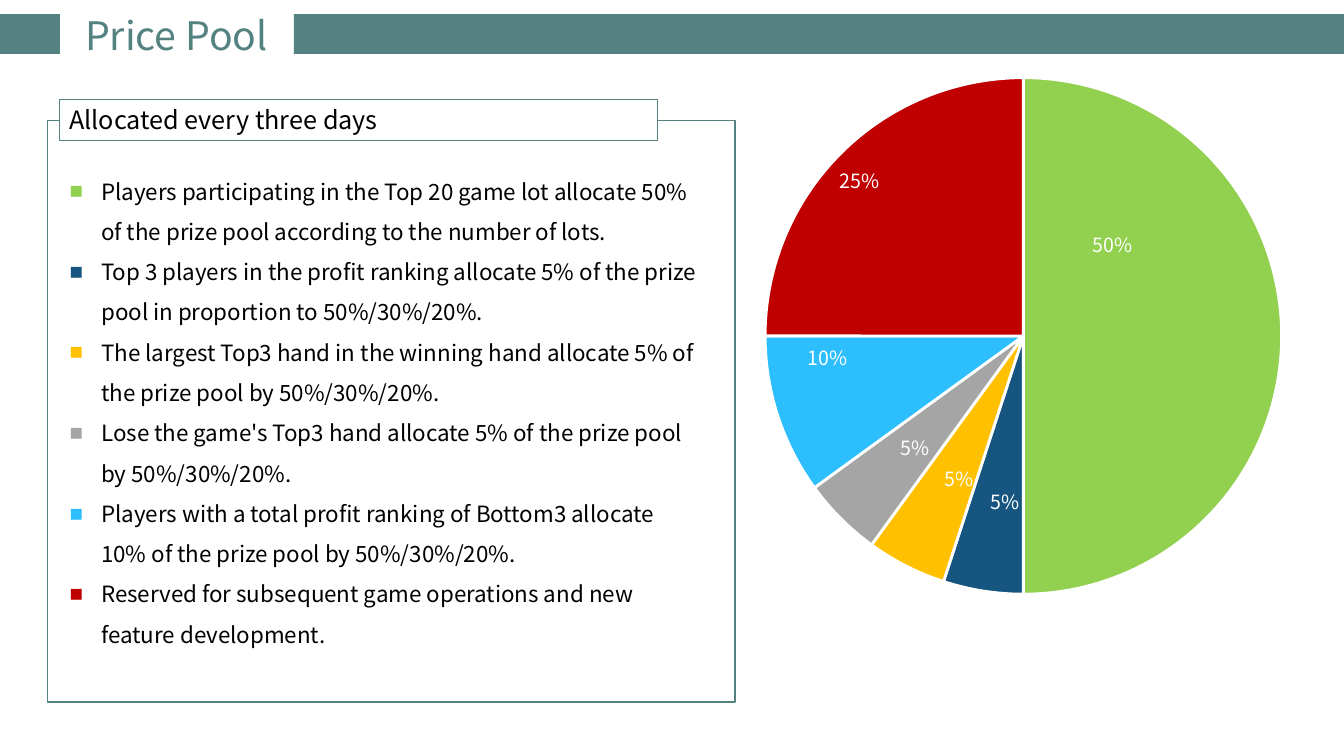
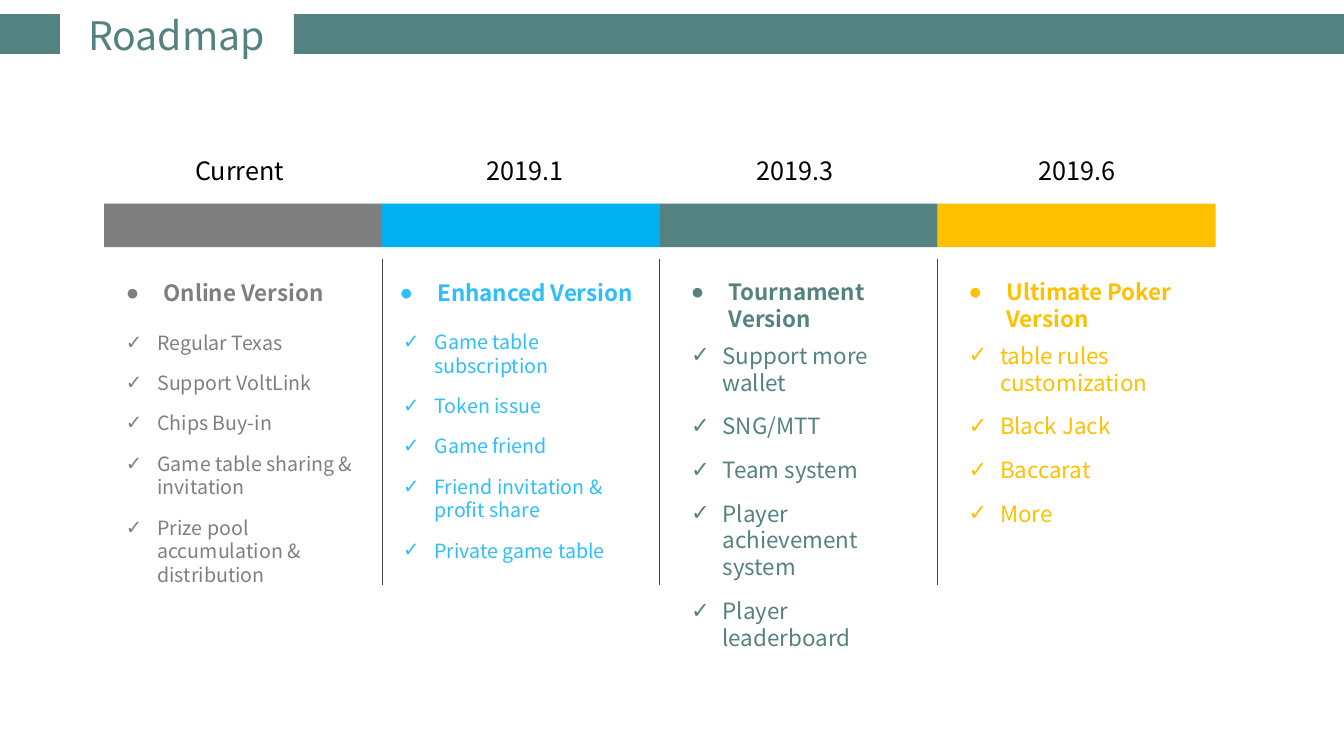
"""Build the price pool and roadmap slides."""
import math
from lxml import etree
from pptx import Presentation
from pptx.chart.data import CategoryChartData
from pptx.dml.color import RGBColor
from pptx.enum import chart as ch, shapes, text
from pptx.oxml import parse_xml
from pptx.oxml.ns import nsdecls, qn
from pptx.util import Pt

FONT, BULLET_FONT = "Noto Sans CJK SC", "Arial"
TEAL, BLACK, WHITE, DARK = "548280", "000000", "FFFFFF", "404040"
GREY, SKY, GOLD = "7F7F7F", "2CBEFD", "FFC000"
SQUARE, DISC, CHECK = "■", "●", "✓"
LEFT, CENTER = text.PP_ALIGN.LEFT, text.PP_ALIGN.CENTER

BANDS = [(0, 42.8), (210, 750)]
POOL_HEADING = "Allocated every three days"
POOL = [
    (50, "92D050", (64, -66), "Players participating in the Top 20 game lot allocate 50% "
     "of the prize pool according to the number of lots."),
    (5, "16557F", (-13, 118), "Top 3 players in the profit ranking allocate 5% of the prize "
     "pool in proportion to 50%/30%/20%."),
    (5, GOLD, (-46, 101), "The largest Top3 hand in the winning hand allocate 5% of "
     "the prize pool by 50%/30%/20%."),
    (5, "A5A5A5", (-77, 79), "Lose the game's Top3 hand allocate 5% of the prize pool "
     "by 50%/30%/20%."),
    (10, SKY, (-140, 15), "Players with a total profit ranking of Bottom3 allocate "
     "10% of the prize pool by 50%/30%/20%."),
    (25, "C00000", (-117, -112), "Reserved for subsequent game operations and new "
     "feature development."),
]
PIE_X, PIE_Y, PIE_R, PIE_FRAME = 731, 240, 184.5, 400

STAGES = [
    dict(date="Current", shift=-2.4, bar=GREY, color=GREY, size=14,
         head=("Online Version", 82.8, 196, 179), box=(82.8, 232.6, 193),
         items=["Regular Texas", "Support VoltLink", "Chips Buy-in",
                "Game table sharing & invitation",
                "Prize pool accumulation & distribution"]),
    dict(date="2019.1", shift=3, bar="00B0F0", color=SKY, size=14,
         head=("Enhanced Version", 278.3, 196, 196), box=(280.8, 232.2, 170),
         items=["Game table subscription", "Token issue", "Game friend",
                "Friend invitation & profit share", "Private game table"]),
    dict(date="2019.3", shift=-2.6, bar=TEAL, color=TEAL, size=16,
         head=("Tournament Version", 486.4, 195, 162), box=(486.6, 240.6, 178),
         items=["Support more wallet", "SNG/MTT", "Team system",
                "Player achievement system", "Player leaderboard"]),
    dict(date="2019.6", shift=0, bar=GOLD, color=GOLD, size=16,
         head=("Ultimate Poker Version", 684.7, 195, 162), box=(684.7, 240.7, 209),
         items=["table rules customization", "Black Jack", "Baccarat", "More"]),
]
STAGE_X, STAGE_W = 74.3, 198.5


def rgb(value):
    """Turn a hex string into a colour."""
    return RGBColor.from_string(value)


def style(font, size, color, bold=False):
    """Apply the deck font."""
    font.name, font.size, font.bold = FONT, Pt(size), bold
    font.color.rgb = rgb(color)


def add_rect(slide, x, y, w, h, fill=None, line=None, weight=1):
    """Add a plain rectangle."""
    sp = slide.shapes.add_shape(shapes.MSO_SHAPE.RECTANGLE, Pt(x), Pt(y), Pt(w), Pt(h))
    sp.shadow.inherit = False
    if fill:
        sp.fill.solid()
        sp.fill.fore_color.rgb = rgb(fill)
    else:
        sp.fill.background()
    if line:
        sp.line.color.rgb = rgb(line)
        sp.line.width = Pt(weight)
    else:
        sp.line.fill.background()
    return sp


def write(sp, lines, size, color, bold=False, align=LEFT, anchor=text.MSO_ANCHOR.TOP):
    """Fill a shape with one paragraph per line and return the paragraphs."""
    tf = sp.text_frame
    tf.word_wrap = True
    tf.vertical_anchor = anchor
    tf.text = "\n".join(lines)
    for p in tf.paragraphs:
        p.alignment = align
        for r in p.runs:
            style(r.font, size, color, bold)
    return tf.paragraphs


def add_text(slide, x, y, w, h, lines, size, color, **options):
    """Add a text box and return its paragraphs."""
    sp = slide.shapes.add_textbox(Pt(x), Pt(y), Pt(w), Pt(h))
    return write(sp, lines, size, color, **options)


def add_bullet(p, char, color, indent):
    """Give a paragraph a coloured symbol bullet."""
    pPr = p._p.get_or_add_pPr()
    pPr.set("marL", str(Pt(indent)))
    pPr.set("indent", str(-Pt(indent)))
    clr = etree.SubElement(pPr, qn("a:buClr"))
    etree.SubElement(clr, qn("a:srgbClr"), val=color)
    etree.SubElement(pPr, qn("a:buFont"), typeface=BULLET_FONT)
    etree.SubElement(pPr, qn("a:buChar"), char=char)


def manual_layout(**values):
    """Build a chart layout element."""
    inner = "".join(f'<c:{k} val="{v}"/>' for k, v in values.items())
    return parse_xml(f'<c:layout {nsdecls("c")}><c:manualLayout>{inner}'
                     "</c:manualLayout></c:layout>")


def new_slide(prs, title):
    """Add a blank slide with the header bands and title."""
    slide = prs.slides.add_slide(prs.slide_layouts[6])
    for x, w in BANDS:
        add_rect(slide, x, 10.2, w, 28.4, TEAL)
    add_text(slide, 46, 4.3, 160, 41, [title], 28, TEAL, align=CENTER,
             anchor=text.MSO_ANCHOR.MIDDLE)
    return slide


def add_pie(slide):
    """Add the allocation pie with placed percentage labels."""
    data = CategoryChartData()
    data.categories = [str(i + 1) for i in range(len(POOL))]
    data.add_series("Series 1", [share for share, *_ in POOL])
    half = PIE_FRAME / 2
    chart = slide.shapes.add_chart(ch.XL_CHART_TYPE.PIE, Pt(PIE_X - half), Pt(PIE_Y - half),
                                   Pt(PIE_FRAME), Pt(PIE_FRAME), data).chart
    chart.has_legend = chart.has_title = False
    style(chart.font, 10, BLACK)
    edge = (half - PIE_R) / PIE_FRAME
    area = chart._chartSpace.find(".//" + qn("c:plotArea"))
    for old in area.findall(qn("c:layout")):
        area.remove(old)
    area.insert(0, manual_layout(layoutTarget="inner", xMode="edge", yMode="edge",
                                 x=edge, y=edge, w=1 - 2 * edge, h=1 - 2 * edge))
    plot = chart.plots[0]
    plot.vary_by_categories = True
    series = plot.series[0]
    labels = series.data_labels
    labels.show_value, labels.show_percentage = False, True
    labels.number_format, labels.number_format_is_linked = "0%", False
    style(labels.font, 14, WHITE)
    start = 0
    for i, (share, color, (x, y), _) in enumerate(POOL):
        point = series.points[i]
        point.format.fill.solid()
        point.format.fill.fore_color.rgb = rgb(color)
        point.format.line.color.rgb = rgb(WHITE)
        point.format.line.width = Pt(2)
        label = point.data_label
        label.position = ch.XL_LABEL_POSITION.CENTER
        style(label.font, 14, WHITE)
        angle = math.radians((start + share / 2) * 3.6)
        start += share
        dx = x - PIE_R / 2 * math.sin(angle)
        dy = y + PIE_R / 2 * math.cos(angle)
        dLbl = labels._element.findall(qn("c:dLbl"))[i]
        dLbl.find(qn("c:showVal")).set("val", "0")
        dLbl.find(qn("c:showPercent")).set("val", "1")
        dLbl.insert(1, manual_layout(x=dx / PIE_FRAME, y=dy / PIE_FRAME))


def price_pool(prs):
    """Build the price pool slide."""
    slide = new_slide(prs, "Price Pool")
    add_pie(slide)
    lines = [line for *_, line in POOL]
    paragraphs = add_text(slide, 42.7, 113.8, 467, 356, lines, 16, BLACK)
    for p, (_, color, *_) in zip(paragraphs, POOL):
        p.line_spacing = 1.5
        add_bullet(p, SQUARE, color, 22.5)
    add_rect(slide, 34, 86, 491, 415.4, line=TEAL)
    heading = add_rect(slide, 42.5, 71, 427, 29.3, WHITE, TEAL, 0.75)
    write(heading, [POOL_HEADING], 18, BLACK, anchor=text.MSO_ANCHOR.MIDDLE)


def roadmap(prs):
    """Build the roadmap slide."""
    slide = new_slide(prs, "Roadmap")
    for i, stage in enumerate(STAGES):
        x = STAGE_X + i * STAGE_W
        color = stage["color"]
        add_rect(slide, x, 145.5, STAGE_W, 31, stage["bar"])
        add_text(slide, x + stage["shift"], 107.7, STAGE_W, 29, [stage["date"]], 18, BLACK,
                 align=CENTER)
        if i:
            line = slide.shapes.add_connector(shapes.MSO_CONNECTOR.STRAIGHT,
                                              Pt(x), Pt(185), Pt(x), Pt(417.6))
            line.line.color.rgb = rgb(DARK)
            line.line.width = Pt(0.5)
            etree.SubElement(line._element.spPr, qn("a:effectLst"))
        name, left, top, width = stage["head"]
        head = add_text(slide, left, top, width, 27, [name], 16, color, bold=True)
        add_bullet(head[0], DISC, color, 27)
        left, top, width = stage["box"]
        items = add_text(slide, left, top, width, 190, stage["items"], stage["size"], color)
        for n, p in enumerate(items):
            if n:
                p.space_before = Pt(12)
            add_bullet(p, CHECK, color, 22.5)


def main():
    """Build and save the deck."""
    prs = Presentation()
    prs.slide_width, prs.slide_height = Pt(960), Pt(540)
    price_pool(prs)
    roadmap(prs)
    prs.save("out.pptx")


if __name__ == "__main__":
    main()
